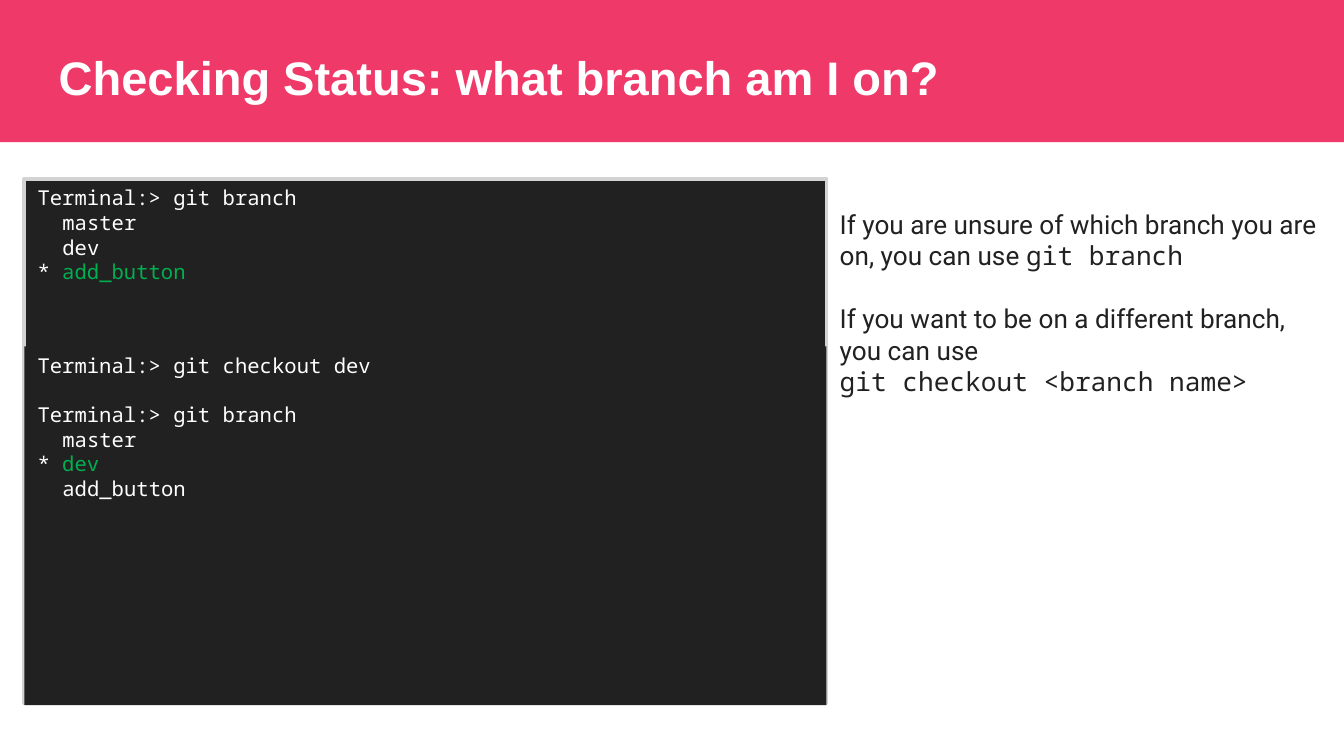
from pptx import Presentation
from pptx.dml.color import RGBColor
from pptx.enum.shapes import MSO_SHAPE
from pptx.enum.text import MSO_ANCHOR, PP_ALIGN
from pptx.util import Cm, Pt

RECTANGLE = MSO_SHAPE.RECTANGLE
TOP, BOTTOM = MSO_ANCHOR.TOP, MSO_ANCHOR.BOTTOM
LEFT = PP_ALIGN.LEFT

COLORS = {"banner": "EF3969", "white": "FFFFFF", "dark": "212121",
          "border": "D3D3D3", "current": "00B050"}
MONO = "Noto Sans Mono"
FORMATS = {
    "title": {"name": "Arial", "size": Pt(25.2), "bold": True, "color": "white"},
    "code": {"name": MONO, "size": Pt(11), "color": "white"},
    "current": {"name": MONO, "size": Pt(11), "color": "current"},
    "note": {"name": "Roboto", "size": Pt(14), "color": "dark"},
    "command": {"name": MONO, "size": Pt(14), "color": "dark"},
}
BRANCH_INDENT = Cm(0.47)

TITLE = [{"runs": [("Checking Status: what branch am I on?", "title")]}]
BRANCH_LISTING = [
    {"runs": [("Terminal:> git branch", "code")]},
    {"runs": [("master", "code")], "indent": BRANCH_INDENT},
    {"runs": [("dev", "code")], "indent": BRANCH_INDENT},
    {"runs": [("* ", "code"), ("add_button", "current")]},
]
CHECKOUT_LISTING = [
    {"runs": [("Terminal:> git checkout dev", "code")]},
    {"runs": [("Terminal:> git branch", "code")], "before": Pt(13)},
    {"runs": [("master", "code")], "indent": BRANCH_INDENT},
    {"runs": [("* ", "code"), ("dev", "current")]},
    {"runs": [("add_button", "code")], "indent": BRANCH_INDENT},
]
ADVICE = [
    {"runs": [("If you are unsure of which branch you are on, you can use ", "note"),
              ("git branch", "command")]},
    {"runs": [("If you want to be on a different branch, you can use ", "note"),
              None,
              ("git checkout <branch name>", "command")], "before": Pt(17)},
]

SLIDE_WIDTH, SLIDE_HEIGHT = Cm(25.4), Cm(14.29)
TERMINAL_LEFT, TERMINAL_WIDTH = Cm(0.46), Cm(15.16)
ADVICE_LEFT = TERMINAL_LEFT + TERMINAL_WIDTH


def color(key):
    return RGBColor.from_string(COLORS[key])


def write(box, paragraphs, anchor=TOP, margin=None):
    frame = box.text_frame
    frame.word_wrap = True
    frame.vertical_anchor = anchor
    if margin is not None:
        for side in ("left", "top", "right", "bottom"):
            setattr(frame, f"margin_{side}", margin)
    for number, content in enumerate(paragraphs):
        paragraph = frame.add_paragraph() if number else frame.paragraphs[0]
        paragraph.alignment = LEFT
        if "before" in content:
            paragraph.space_before = content["before"]
        if "indent" in content:
            properties = paragraph._p.get_or_add_pPr()
            properties.set("marL", str(content["indent"]))
            properties.set("indent", "0")
        for piece in content["runs"]:
            if piece is None:
                paragraph.add_line_break()
                continue
            words, style = piece
            run = paragraph.add_run()
            run.text = words
            for attribute, value in FORMATS[style].items():
                if attribute == "color":
                    run.font.color.rgb = color(value)
                else:
                    setattr(run.font, attribute, value)


def add_panel(slide, left, top, width, height, fill, border=None):
    panel = slide.shapes.add_shape(RECTANGLE, left, top, width, height)
    panel.shadow.inherit = False
    panel.fill.solid()
    panel.fill.fore_color.rgb = color(fill)
    if border:
        panel.line.color.rgb = color(border)
        panel.line.width = Pt(2)
    else:
        panel.line.fill.background()
    return panel


def main():
    deck = Presentation()
    deck.slide_width, deck.slide_height = SLIDE_WIDTH, SLIDE_HEIGHT
    slide = deck.slides.add_slide(deck.slide_layouts[6])

    add_panel(slide, 0, 0, SLIDE_WIDTH, Cm(2.69), "banner")
    title = slide.shapes.add_textbox(Cm(0.86), Cm(0.64), Cm(19.25), Cm(1.6))
    write(title, TITLE, BOTTOM, Cm(0.25))

    branch_terminal = add_panel(slide, TERMINAL_LEFT, Cm(3.38), TERMINAL_WIDTH,
                                Cm(9.91), "dark", "border")
    write(branch_terminal, BRANCH_LISTING)

    advice = slide.shapes.add_textbox(ADVICE_LEFT, Cm(3.81),
                                      SLIDE_WIDTH - ADVICE_LEFT, Cm(3.84))
    write(advice, ADVICE)

    checkout_terminal = add_panel(slide, TERMINAL_LEFT, Cm(6.55), TERMINAL_WIDTH,
                                  Cm(6.78), "dark")
    write(checkout_terminal, CHECKOUT_LISTING)

    deck.save("out.pptx")


if __name__ == "__main__":
    main()
